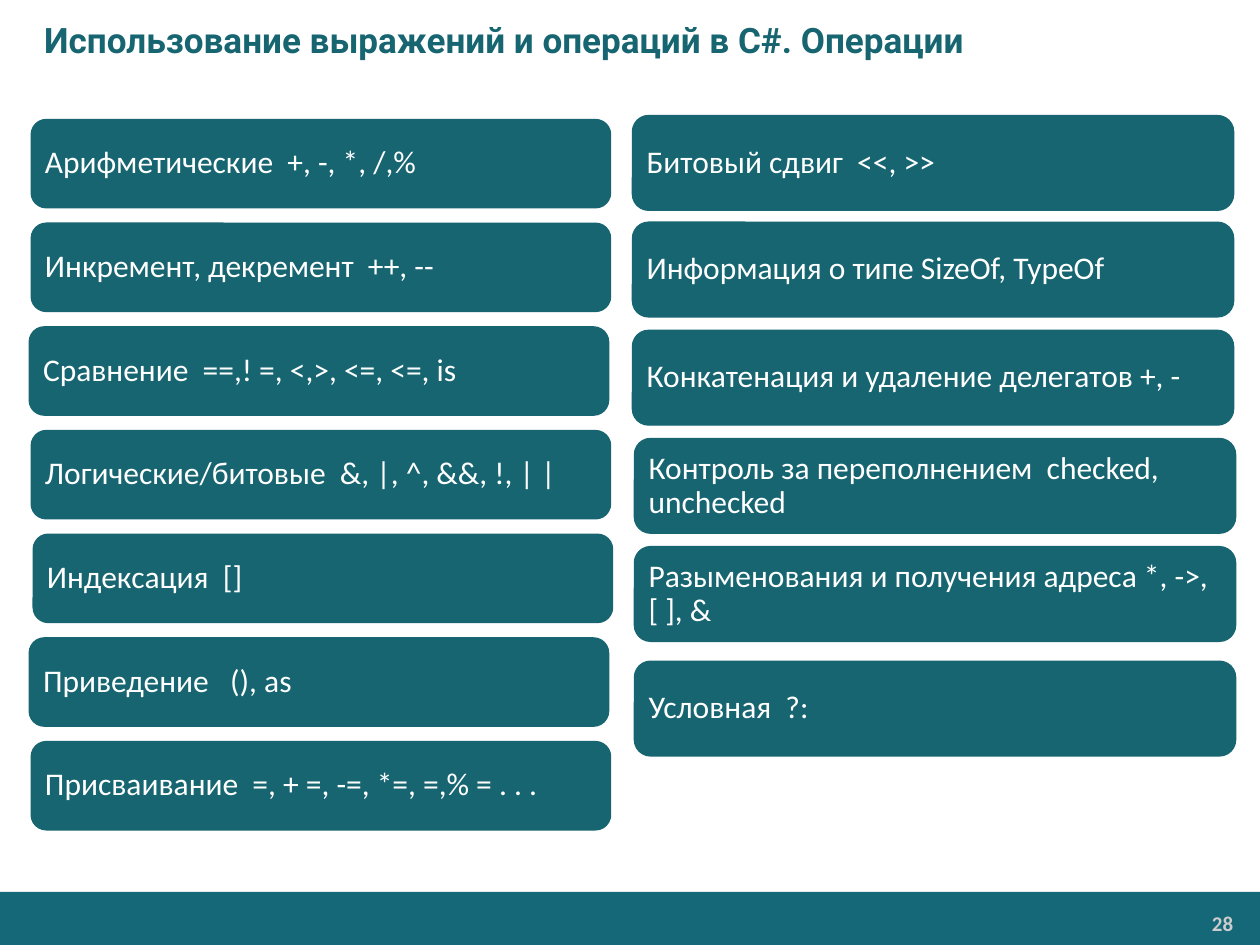
from dataclasses import dataclass

from pptx import Presentation
from pptx import util as u
from pptx.dml.color import RGBColor
from pptx.enum import shapes, text


@dataclass(frozen=True)
class Theme:
    teal: str = "176571"
    footer: str = "146878"
    white: str = "FFFFFF"
    gray: str = "CCCCCC"
    heading_font: str = "Roboto"
    body_font: str = "Calibri"
    title_size: int = 20
    body_size: int = 18
    number_size: int = 12


@dataclass(frozen=True)
class Box:
    text: str
    x: float
    y: float


@dataclass(frozen=True)
class Column:
    width: float
    height: float
    boxes: tuple[Box, ...]


T = Theme()

LEFT_TOP, LEFT_PITCH = 2.41, 2.09
LEFT_ITEMS = (
    ("Арифметические  +, -, *, /,%", 0.63),
    ("Инкремент, декремент  ++, --", 0.63),
    ("Сравнение  ==,! =, <,>, <=, <=, is", 0.59),
    ("Логические/битовые  &, |, ^, &&, !, | |", 0.63),
    ("Индексация  []", 0.67),
    ("Приведение   (), as", 0.59),
    ("Присваивание  =, + =, -=, *=, =,% = . . .", 0.63),
)

COLUMNS = (
    Column(11.68, 1.78, tuple(
        Box(label, x, LEFT_TOP + i * LEFT_PITCH)
        for i, (label, x) in enumerate(LEFT_ITEMS)
    )),
    Column(12.12, 1.91, (
        Box("Битовый сдвиг  <<, >>", 12.75, 2.33),
        Box("Информация о типе SizeOf, TypeOf", 12.75, 4.48),
        Box("Конкатенация и удаление делегатов +, -", 12.75, 6.66),
        Box("Контроль за переполнением  checked, unchecked", 12.79, 8.84),
        Box("Разыменования и получения адреса *, ->, [ ], &", 12.79, 11.02),
        Box("Условная  ?:", 12.79, 13.33),
    )),
)


def write(sp, content: str, *, size: int, color: str, font: str = T.body_font,
          bold: bool = False, align=text.PP_ALIGN.LEFT,
          anchor=text.MSO_ANCHOR.MIDDLE, spacing: float = 1.0,
          margins: tuple[float, float] = (0.18, 0.1)) -> None:
    tf = sp.text_frame
    tf.word_wrap = True
    tf.vertical_anchor = anchor
    tf.margin_left = tf.margin_right = u.Cm(margins[0])
    tf.margin_top = tf.margin_bottom = u.Cm(margins[1])
    p = tf.paragraphs[0]
    p.alignment = align
    p.line_spacing = spacing
    r = p.add_run()
    r.text = content
    r.font.name = font
    r.font.size = u.Pt(size)
    r.font.bold = bold
    r.font.color.rgb = RGBColor.from_string(color)


def add_block(s, kind, x: float, y: float, w: float, h: float, color: str):
    sp = s.shapes.add_shape(kind, u.Cm(x), u.Cm(y), u.Cm(w), u.Cm(h))
    sp.shadow.inherit = False
    sp.fill.solid()
    sp.fill.fore_color.rgb = RGBColor.from_string(color)
    sp.line.fill.background()
    return sp


def add_column(s, column: Column) -> None:
    for box in column.boxes:
        sp = add_block(s, shapes.MSO_SHAPE.ROUNDED_RECTANGLE, box.x, box.y,
                       column.width, column.height, T.teal)
        sp.adjustments[0] = 0.17
        sp.line.color.rgb = RGBColor.from_string(T.teal)
        sp.line.width = u.Pt(0.75)
        write(sp, box.text, size=T.body_size, color=T.white, spacing=0.9,
              margins=(0.19, 0.19))


def main() -> None:
    prs = Presentation()
    prs.slide_width, prs.slide_height = u.Cm(25.4), u.Cm(19.05)
    s = prs.slides.add_slide(prs.slide_layouts[6])

    add_block(s, shapes.MSO_SHAPE.RECTANGLE, 0, 17.98, 25.4, 1.07, T.footer)
    number = s.shapes.add_textbox(u.Cm(20.9), u.Cm(18.26), u.Cm(4.14), u.Cm(0.71))
    write(number, "28", size=T.number_size, color=T.gray, bold=True,
          align=text.PP_ALIGN.RIGHT, anchor=text.MSO_ANCHOR.TOP)
    title = s.shapes.add_textbox(0, 0, u.Cm(25.4), u.Cm(1.6))
    write(title, "Использование выражений и операций в С#. Операции",
          size=T.title_size, color=T.teal, font=T.heading_font, bold=True,
          margins=(0.89, 0.13))

    for column in COLUMNS:
        add_column(s, column)

    prs.save("out.pptx")


if __name__ == "__main__":
    main()
